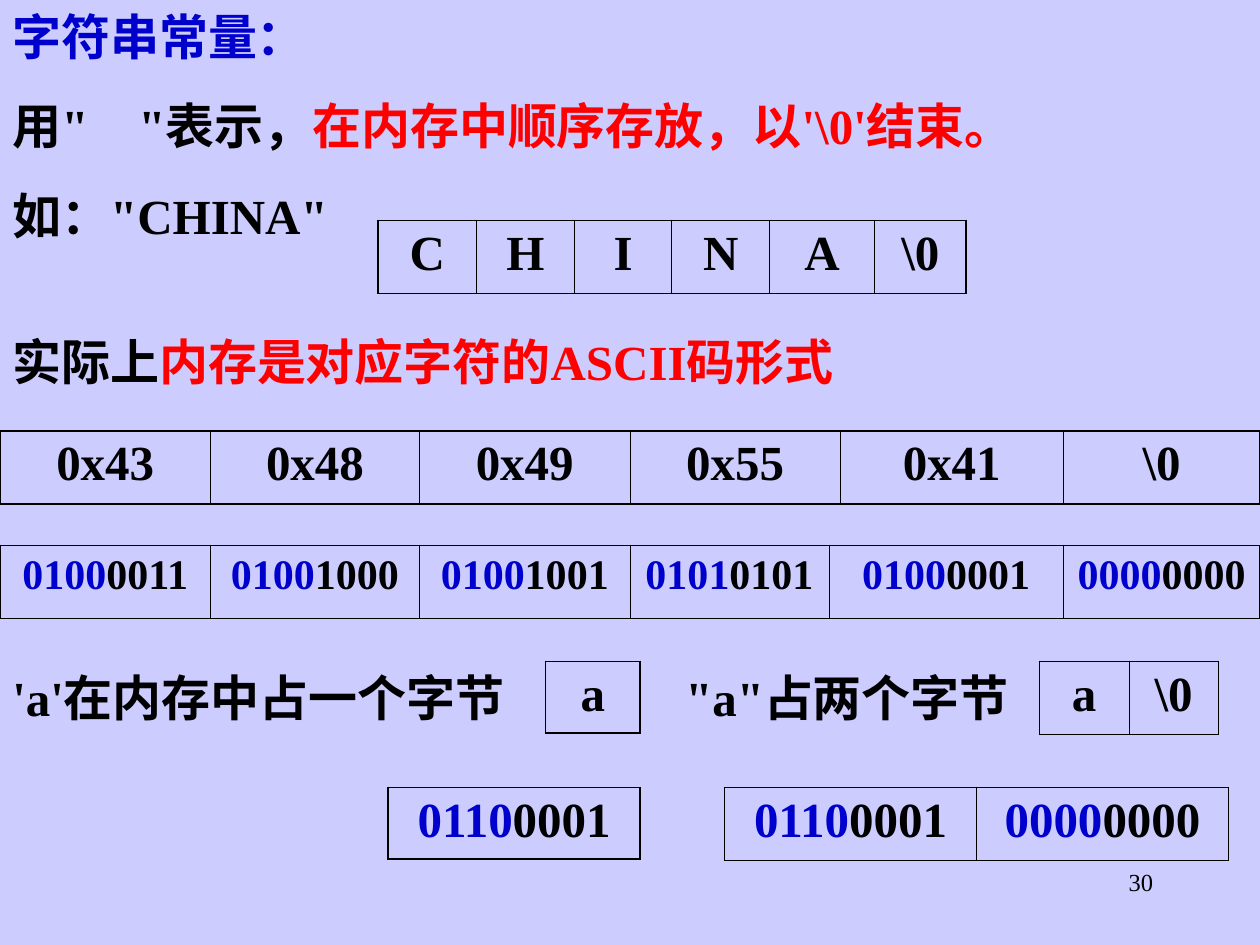
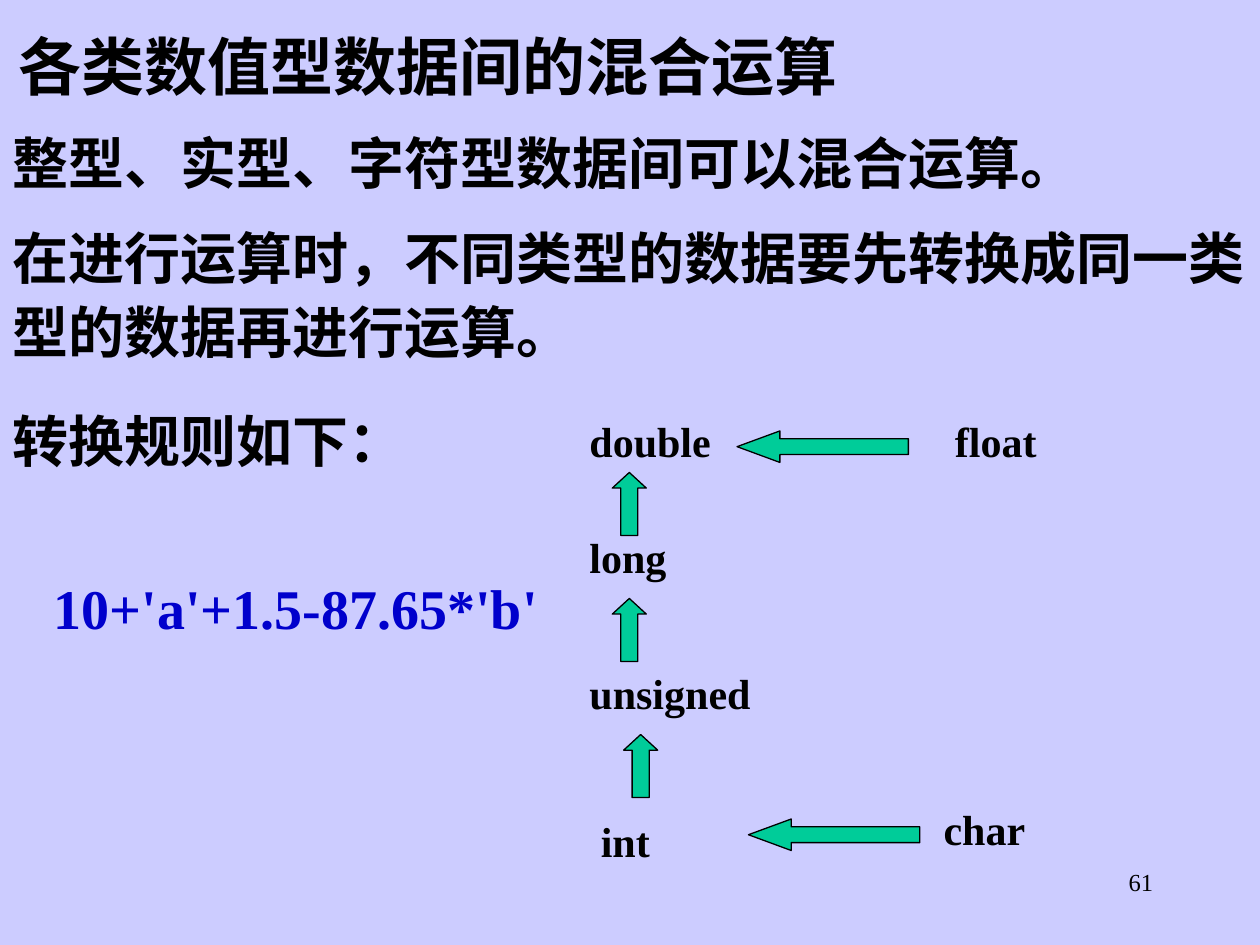
"""Build two lecture slides on string constants and mixed arithmetic in C."""
from dataclasses import dataclass
from itertools import pairwise
from typing import NamedTuple

from lxml import etree
from pptx import Presentation
from pptx.dml.color import RGBColor
from pptx.enum.shapes import MSO_SHAPE
from pptx.enum.text import PP_ALIGN
from pptx.oxml.ns import qn
from pptx.slide import Slide
from pptx.table import _Cell
from pptx.text.text import _Paragraph
from pptx.util import Emu, Inches, Pt

LEFT, CENTER, RIGHT = PP_ALIGN.LEFT, PP_ALIGN.CENTER, PP_ALIGN.RIGHT
LEFT_ARROW, UP_ARROW = MSO_SHAPE.LEFT_ARROW, MSO_SHAPE.UP_ARROW


@dataclass(frozen=True)
class Theme:
    """Colours, type sizes and line widths shared by the slides."""

    font: str = "Times New Roman"
    background: str = "CCCCFF"
    ink: str = "000000"
    blue: str = "0000CC"
    red: str = "FF0000"
    green: str = "00CC99"
    title: int = 36
    large: int = 32
    body: int = 28
    label: int = 24
    footer: int = 14
    outer_border: float = 1.08
    inner_border: float = 0.45
    arrow_line: float = 0.75


THEME = Theme()


class Span(NamedTuple):
    """A piece of text in one colour."""

    text: str
    color: str = THEME.ink


Line = list[Span]


@dataclass(frozen=True)
class TextBlock:
    """A text box holding one or more paragraphs of one size."""

    left: float
    top: float
    width: float
    height: float
    lines: list[Line]
    size: int = THEME.body
    bold: bool = True
    align: PP_ALIGN = LEFT
    spacing: float = 1.0
    space_before: float = 0
    wrap: bool = True
    tab: float | None = None


@dataclass(frozen=True)
class MemoryStrip:
    """A one-row table with cells between the given column edges."""

    top: float
    edges: list[float]
    cells: list[Line]
    size: int = THEME.body
    height: float = 0.58


class Arrow(NamedTuple):
    """A block arrow of the conversion diagram."""

    kind: MSO_SHAPE
    left: float
    top: float


ARROW_FORMS = {LEFT_ARROW: (1.36, 0.25, 1.36), UP_ARROW: (0.27, 0.5, 0.46)}


def plain(*texts: str) -> list[Line]:
    """Turn each text into a line in the ink colour."""
    return [[Span(text)] for text in texts]


def byte_cells(*values: str) -> list[Line]:
    """Colour the high four bits of each byte blue."""
    return [[Span(bits[:4], THEME.blue), Span(bits[4:])] for bits in values]


def fill_paragraph(para: _Paragraph, line: Line, size: int, bold: bool, align: PP_ALIGN) -> None:
    """Write the spans of a line and set its font."""
    para.alignment = align
    para.font.name, para.font.size, para.font.bold = THEME.font, Pt(size), bold
    for piece in line:
        span = para.add_run()
        span.text = piece.text
        if len(line) > 1:
            span.font.color.rgb = RGBColor.from_string(piece.color)
    if len(line) == 1:
        para.font.color.rgb = RGBColor.from_string(line[0].color)


def add_tab_stop(para: _Paragraph, position: float) -> None:
    """Give a paragraph one left tab stop."""
    stops = etree.SubElement(para._p.get_or_add_pPr(), qn("a:tabLst"))
    etree.SubElement(stops, qn("a:tab"), pos=str(Inches(position)), algn="l")


def add_text(page: Slide, block: TextBlock) -> None:
    """Draw a text block."""
    box = page.shapes.add_textbox(
        Inches(block.left), Inches(block.top), Inches(block.width), Inches(block.height))
    frame = box.text_frame
    frame.word_wrap = block.wrap
    for index, line in enumerate(block.lines):
        para = frame.add_paragraph() if index else frame.paragraphs[0]
        para.line_spacing = block.spacing
        if index:
            para.space_before = Pt(block.space_before)
        if block.tab and any("\t" in span.text for span in line):
            add_tab_stop(para, block.tab)
        fill_paragraph(para, line, block.size, block.bold, block.align)


def set_borders(cell: _Cell, first: bool, last: bool) -> None:
    """Draw thick outer and thin inner borders on a cell."""
    properties = cell._tc.get_or_add_tcPr()
    sides = {"lnL": first, "lnR": last, "lnT": True, "lnB": True}
    for index, (side, outer) in enumerate(sides.items()):
        width = Pt(THEME.outer_border if outer else THEME.inner_border)
        border = etree.Element(qn(f"a:{side}"), w=str(width))
        fill = etree.SubElement(border, qn("a:solidFill"))
        etree.SubElement(fill, qn("a:srgbClr"), val=THEME.ink)
        properties.insert(index, border)


def add_strip(page: Slide, strip: MemoryStrip) -> None:
    """Draw a memory strip as a table."""
    left, right = strip.edges[0], strip.edges[-1]
    count = len(strip.cells)
    table = page.shapes.add_table(
        1, count, Inches(left), Inches(strip.top),
        Inches(right - left), Inches(strip.height)).table
    table.first_row = table.horz_banding = False
    for index, (start, end) in enumerate(pairwise(strip.edges)):
        table.columns[index].width = Emu(Inches(end) - Inches(start))
        cell = table.cell(0, index)
        cell.fill.background()
        set_borders(cell, index == 0, index == count - 1)
        fill_paragraph(cell.text_frame.paragraphs[0], strip.cells[index], strip.size, True, CENTER)


def add_arrow(page: Slide, arrow: Arrow) -> None:
    """Draw a green block arrow."""
    width, height, head = ARROW_FORMS[arrow.kind]
    shape = page.shapes.add_shape(
        arrow.kind, Inches(arrow.left), Inches(arrow.top), Inches(width), Inches(height))
    shape.shadow.inherit = False
    shape.adjustments[0], shape.adjustments[1] = 0.5, head
    shape.fill.solid()
    shape.fill.fore_color.rgb = RGBColor.from_string(THEME.green)
    shape.line.color.rgb = RGBColor.from_string(THEME.ink)
    shape.line.width = Pt(THEME.arrow_line)


def add_page(deck: Presentation, number: int) -> Slide:
    """Add a blank page with the shared background and page number."""
    page = deck.slides.add_slide(deck.slide_layouts[6])
    page.background.fill.solid()
    page.background.fill.fore_color.rgb = RGBColor.from_string(THEME.background)
    add_text(page, TextBlock(7.17, 6.83, 2.08, 0.5, plain(str(number)),
                             THEME.footer, bold=False, align=RIGHT))
    return page


def build_string_page(deck: Presentation) -> None:
    """Show how string constants are stored in memory."""
    page = add_page(deck, 30)
    intro = [
        [Span("字符串常量：", THEME.blue)],
        [Span('用"\t"表示，'), Span(r"在内存中顺序存放，以'\0'结束。", THEME.red)],
        [Span('如："CHINA"')],
    ]
    ascii_note = [[Span("实际上"), Span("内存是对应字符的ASCII码形式", THEME.red)]]
    blocks = [
        TextBlock(0, 0, 10, 1.99, intro, space_before=17.5, tab=1.0),
        TextBlock(0, 2.58, 9.25, 0.57, ascii_note),
        TextBlock(0, 5.25, 4.33, 0.57, plain("'a'在内存中占一个字节")),
        TextBlock(5.34, 5.25, 2.91, 0.57, plain('"a"占两个字节')),
    ]
    strips = [
        MemoryStrip(1.75, [3, 3.78, 4.56, 5.33, 6.11, 6.94, 7.67], plain(*"CHINA", r"\0")),
        MemoryStrip(3.42, [0, 1.67, 3.33, 5, 6.67, 8.44, 10],
                    plain("0x43", "0x48", "0x49", "0x55", "0x41", r"\0")),
        MemoryStrip(4.33, [0, 1.67, 3.33, 5, 6.58, 8.44, 10],
                    byte_cells("01000011", "01001000", "01001001",
                               "01010101", "01000001", "00000000"), THEME.label),
        MemoryStrip(5.25, [4.33, 5.08], plain("a"), height=0.57),
        MemoryStrip(5.25, [8.25, 8.96, 9.67], plain("a", r"\0")),
        MemoryStrip(6.25, [3.08, 5.08], byte_cells("01100001"), height=0.57),
        MemoryStrip(6.25, [5.75, 7.75, 9.75], byte_cells("01100001", "00000000")),
    ]
    for block in blocks:
        add_text(page, block)
    for strip in strips:
        add_strip(page, strip)


def build_conversion_page(deck: Presentation) -> None:
    """Show the type conversion rules for mixed arithmetic."""
    page = add_page(deck, 61)
    rules = plain("在进行运算时，不同类型的数据要先转换成同一类型的数据再进行运算。", "转换规则如下：")
    expression = [[Span("10+'a'+1.5-87.65*'b'", THEME.blue)]]
    blocks = [
        TextBlock(0.05, 0.17, 6.7, 0.7, plain("各类数值型数据间的混合运算"), THEME.title, wrap=False),
        TextBlock(0, 0.92, 10, 0.69, plain("整型、实型、字符型数据间可以混合运算。"),
                  THEME.large, spacing=1.1),
        TextBlock(0, 1.67, 10, 2.14, rules, THEME.large, spacing=1.1, space_before=20),
        TextBlock(0.33, 4.5, 4.25, 0.64, expression, THEME.large),
    ]
    type_places = {
        "double": (4.58, 3.25), "long": (4.58, 4.17), "unsigned": (4.58, 5.25),
        "int": (4.67, 6.42), "float": (7.48, 3.25), "char": (7.39, 6.33),
    }
    blocks += [TextBlock(left, top, 1.72, 0.5, plain(name), THEME.label)
               for name, (left, top) in type_places.items()]
    arrows = [
        Arrow(LEFT_ARROW, 5.85, 3.42), Arrow(LEFT_ARROW, 5.94, 6.5),
        Arrow(UP_ARROW, 4.86, 3.75), Arrow(UP_ARROW, 4.86, 4.75), Arrow(UP_ARROW, 4.95, 5.83),
    ]
    for block in blocks:
        add_text(page, block)
    for arrow in arrows:
        add_arrow(page, arrow)


def main() -> None:
    """Build and save the deck."""
    deck = Presentation()
    deck.slide_width, deck.slide_height = Inches(10), Inches(7.5)
    build_string_page(deck)
    build_conversion_page(deck)
    deck.save("out.pptx")


if __name__ == "__main__":
    main()
